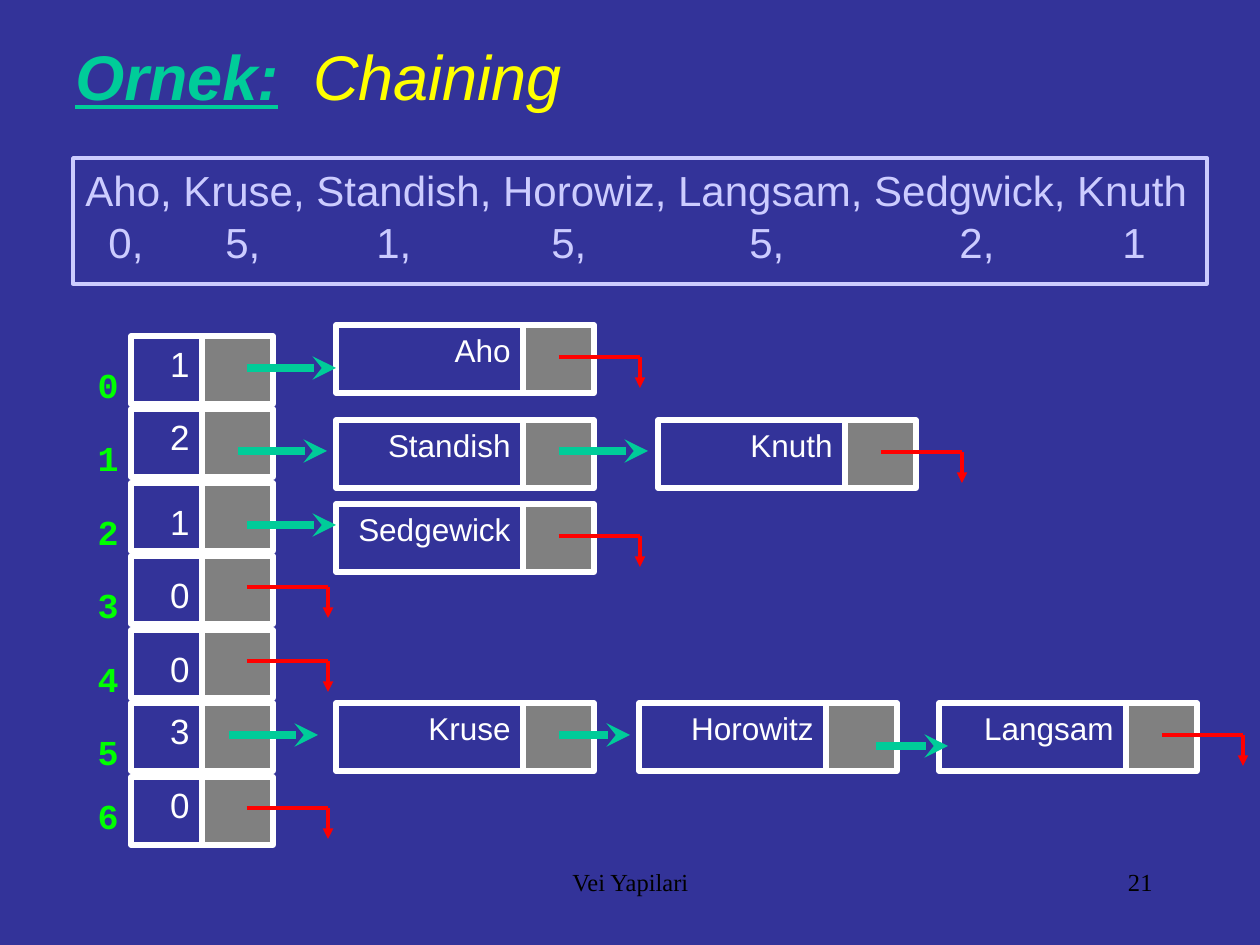
"""Build a slide that shows a hash table with chaining."""
from dataclasses import dataclass

from lxml.etree import SubElement
from pptx import Presentation
from pptx.dml.color import RGBColor
from pptx.enum.shapes import MSO_CONNECTOR as CONNECTOR, MSO_SHAPE as SHAPE
from pptx.enum.text import MSO_AUTO_SIZE as AUTO_SIZE, PP_ALIGN as ALIGN
from pptx.oxml.ns import qn
from pptx.util import Emu, Pt


@dataclass(frozen=True)
class Theme:
    """Hold the colours, fonts and sizes of the slide."""
    background: str = "333399"
    frame: str = "CCCCFF"
    white: str = "FFFFFF"
    black: str = "000000"
    pointer: str = "808080"
    link: str = "00CC99"
    null: str = "FF0000"
    index: str = "00FF00"
    accent: str = "FFFF00"
    sans: str = "Arial"
    mono: str = "Courier New"
    serif: str = "Times New Roman"
    title_size: int = 36
    key_size: int = 24
    count_size: int = 20
    name_size: int = 18
    footer_size: int = 14


@dataclass(frozen=True)
class Bucket:
    """Describe one row of the table: count, text drop and chain."""
    count: str
    drop: int = 0
    nodes: tuple = ()
    links: tuple = ()


THEME = Theme()
EMU_PER_INCH, PX_PER_INCH = 914400, 126
TABLE_LEFT, TABLE_TOP = 131, 336
CELL_WIDTH, CELL_HEIGHT, NAME_WIDTH = 71, 68, 187
HASHES = ("0,", "5,", "1,", "5,", "5,", "2,", "1")
HASH_TABS = (23, 140, 291, 466, 664, 874, 1037)
BUCKETS = (
    Bucket("1", 0, (("Aho", 336, 325),), ((247, 368, 89),)),
    Bucket("2", 0, (("Standish", 336, 420), ("Knuth", 658, 420)),
           ((238, 451, 89), (559, 451, 89))),
    Bucket("1", 11, (("Sedgewick", 336, 504),), ((247, 525, 89),)),
    Bucket("0", 11),
    Bucket("0", 11),
    Bucket("3", 0, (("Kruse", 336, 703), ("Horowitz", 639, 703), ("Langsam", 939, 703)),
           ((229, 735, 89), (559, 735, 71), (876, 746, 72))),
    Bucket("0"),
)


def px(length):
    """Turn px into EMU."""
    return Emu(round(length * EMU_PER_INCH / PX_PER_INCH))


def add_run(paragraph, text, *, size, color, font=THEME.sans,
            bold=False, italic=False, underline=False):
    """Add one formatted run."""
    run = paragraph.add_run()
    run.text = text
    run.font.name, run.font.size = font, Pt(size)
    run.font.bold, run.font.italic, run.font.underline = bold, italic, underline
    run.font.color.rgb = RGBColor.from_string(color)


def add_text(slide, text, box, *, align=ALIGN.LEFT, tabs=(), grow=True, **style):
    """Add a text box with one paragraph and return the paragraph."""
    frame = slide.shapes.add_textbox(*map(px, box)).text_frame
    frame.word_wrap = True
    frame.auto_size = AUTO_SIZE.SHAPE_TO_FIT_TEXT if grow else AUTO_SIZE.NONE
    paragraph = frame.paragraphs[0]
    paragraph.alignment = align
    if grow:
        paragraph.space_before = Pt(style["size"] * 0.625)
    if tabs:
        tab_list = SubElement(paragraph._p.get_or_add_pPr(), qn("a:tabLst"))
        for position in tabs:
            SubElement(tab_list, qn("a:tab"), pos=str(px(position)), algn="l")
    add_run(paragraph, text, **style)
    return paragraph


def add_box(slide, box, *, fill=None, line=THEME.white, width=3):
    """Add an outlined rectangle."""
    shape = slide.shapes.add_shape(SHAPE.RECTANGLE, *map(px, box))
    shape.shadow.inherit = False
    if fill:
        shape.fill.solid()
        shape.fill.fore_color.rgb = RGBColor.from_string(fill)
    else:
        shape.fill.background()
    shape.line.color.rgb = RGBColor.from_string(line)
    shape.line.width = Pt(width)


def add_line(slide, start, end, *, color, width, head=None):
    """Add a straight line, with an arrowhead at its end if named."""
    line = slide.shapes.add_connector(CONNECTOR.STRAIGHT, *map(px, (*start, *end)))
    line.line.color.rgb = RGBColor.from_string(color)
    line.line.width = Pt(width)
    if head:
        SubElement(line.line._get_or_add_ln(), qn("a:tailEnd"), type=head)
    SubElement(line._element.spPr, qn("a:effectLst"))


def add_null(slide, left, top):
    """Add the bent red arrow that ends a chain."""
    corner = (left + 81, top)
    add_line(slide, (left, top), corner, color=THEME.null, width=2)
    add_line(slide, corner, (left + 81, top + 31), color=THEME.null, width=2, head="triangle")


def add_cells(slide, left, top, width):
    """Add a value cell and the pointer cell beside it."""
    add_box(slide, (left, top, width, CELL_HEIGHT))
    add_box(slide, (left + width, top, CELL_WIDTH, CELL_HEIGHT), fill=THEME.pointer)


def add_node(slide, name, left, top):
    """Add one node of a chain."""
    add_cells(slide, left, top, NAME_WIDTH)
    add_text(slide, name, (left, top, NAME_WIDTH, 50), align=ALIGN.RIGHT,
             size=THEME.name_size, color=THEME.white)


def add_bucket(slide, index, bucket):
    """Add one table row with its index, count and chain."""
    top = TABLE_TOP + index * 147 // 2
    label_top = min(top + 21, 788)
    add_text(slide, str(index), (19, label_top, 112, 55), align=ALIGN.RIGHT,
             size=THEME.count_size, color=THEME.index, font=THEME.mono, bold=True)
    add_cells(slide, TABLE_LEFT, top, CELL_WIDTH)
    add_text(slide, bucket.count, (TABLE_LEFT, top + bucket.drop, CELL_WIDTH, 55),
             align=ALIGN.RIGHT, size=THEME.count_size, color=THEME.white)
    for node in bucket.nodes:
        add_node(slide, *node)
    for left, link_top, length in bucket.links:
        add_line(slide, (left, link_top), (left + length, link_top),
                 color=THEME.link, width=4.5, head="stealth")
    if bucket.nodes:
        _, left, node_top = bucket.nodes[-1]
        add_null(slide, left + 223, node_top + 32)
    else:
        add_null(slide, 247, top + 31)


def add_header(slide):
    """Add the title and the framed keys with their hash values."""
    title = add_text(slide, "Ornek:", (63, 31, 1134, 88), tabs=(238,), italic=True,
                     size=THEME.title_size, color=THEME.link, bold=True, underline=True)
    add_run(title, "\tChaining", size=THEME.title_size, color=THEME.accent, italic=True)
    key_style = {"size": THEME.key_size, "color": THEME.frame}
    add_text(slide, "Aho, Kruse, Standish, Horowiz, Langsam, Sedgwick, Knuth",
             (73, 158, 1166, 63), **key_style)
    add_text(slide, "\t" + "\t".join(HASHES), (73, 210, 1166, 63),
             tabs=HASH_TABS, **key_style)
    add_box(slide, (73, 158, 1134, 126), line=THEME.frame, width=2)


def add_footer(slide):
    """Add the footer and the slide number."""
    style = {"size": THEME.footer_size, "color": THEME.black,
             "font": THEME.serif, "grow": False}
    add_text(slide, "Vei Yapilari", (431, 861, 399, 63), align=ALIGN.CENTER, **style)
    add_text(slide, "21", (903, 861, 262, 63), align=ALIGN.RIGHT, **style)


def main():
    """Build and save the presentation."""
    presentation = Presentation()
    presentation.slide_width, presentation.slide_height = px(1260), px(945)
    slide = presentation.slides.add_slide(presentation.slide_layouts[6])
    slide.background.fill.solid()
    slide.background.fill.fore_color.rgb = RGBColor.from_string(THEME.background)
    add_header(slide)
    for index, bucket in enumerate(BUCKETS):
        add_bucket(slide, index, bucket)
    add_footer(slide)
    presentation.save("out.pptx")


if __name__ == "__main__":
    main()
